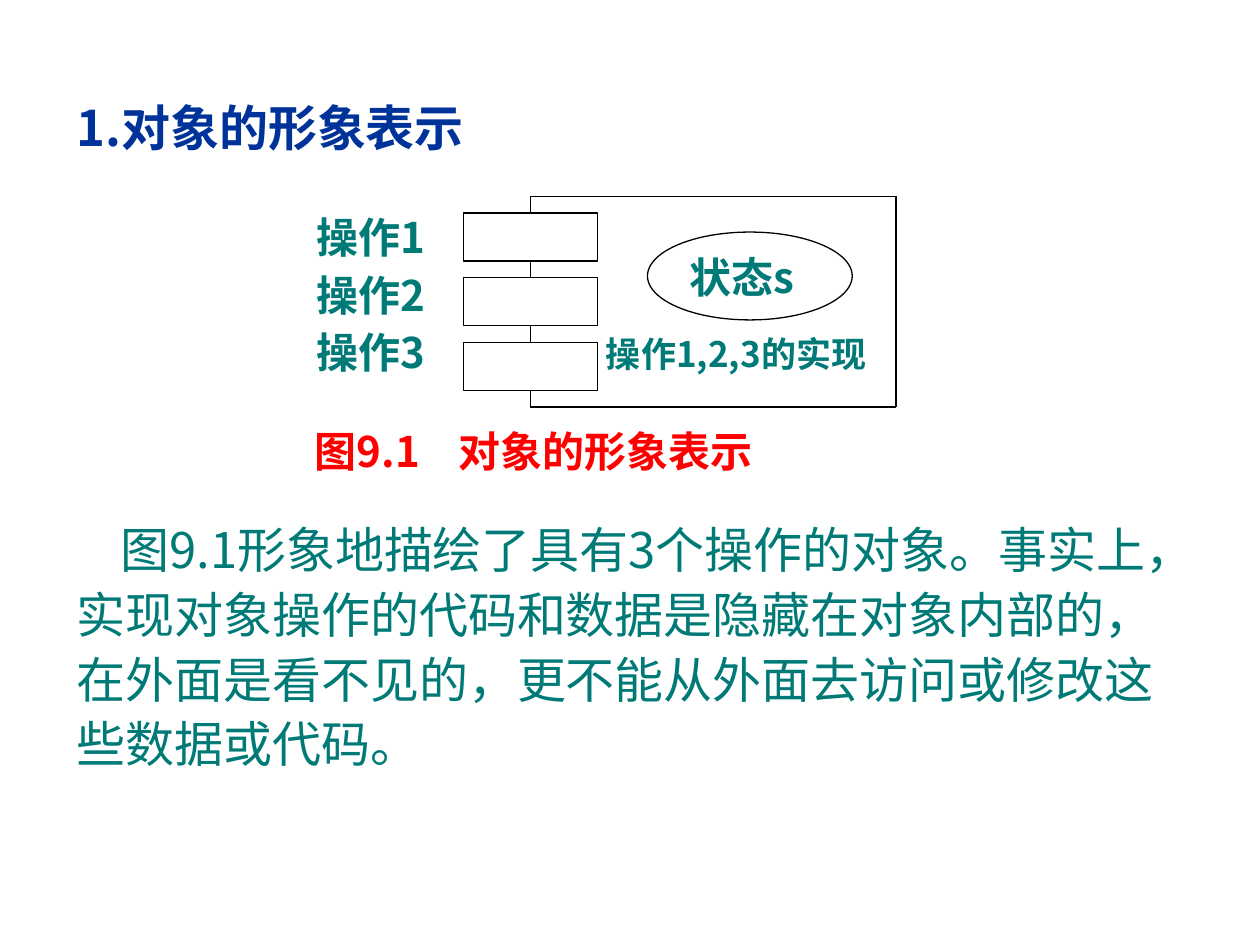
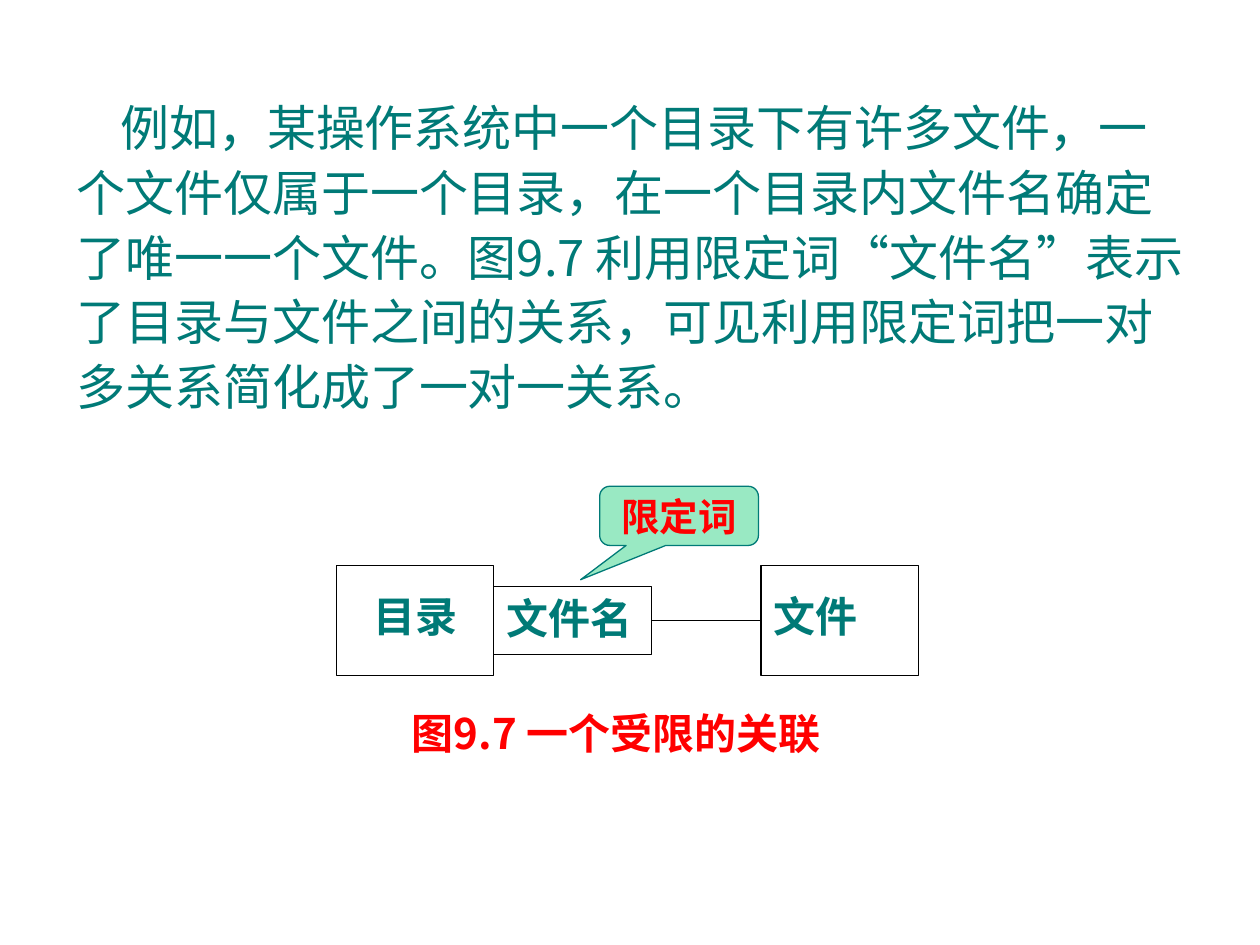
from lxml import etree
from pptx import Presentation, util as u
from pptx.dml.color import RGBColor
from pptx.enum import shapes, text
from pptx.oxml.ns import qn

COLORS = {"title": "003399", "body": "007A77", "caption": "FF0000",
          "line": "000000", "paper": "FFFFFF", "callout": "99E9C3"}
FONT = "Noto Sans CJK SC"
INSETS = ("margin_left", "margin_top", "margin_right", "margin_bottom")
PADDED = dict(zip(INSETS, map(u.Pt, (7.2, 3.6, 7.2, 3.6))))
TIGHT = dict.fromkeys(INSETS, 0)
LOWERED = PADDED | {"margin_top": u.Pt(14.4)}
MIDDLE = PADDED | {"vertical_anchor": text.MSO_ANCHOR.MIDDLE}
LABEL = {"size": u.Pt(24), "bold": True, "name": FONT}
PROSE = {"size": u.Pt(28), "bold": False, "name": FONT}
LEFT = {"alignment": text.PP_ALIGN.LEFT}
CENTER = {"alignment": text.PP_ALIGN.CENTER}
LOOSE = LEFT | {"line_spacing": 1.1}
MARGIN_X, TOP_Y = 36.7, 49


def rgb(key):
    """Return the named colour."""
    return RGBColor.from_string(COLORS[key])


def apply(target, values):
    """Set every format value on the target."""
    for attribute, value in values.items():
        setattr(target, attribute, value)


def write(shape, words, color="body", font=LABEL, frame=PADDED, layout=LEFT,
          indent=0, tab=None):
    """Write one formatted paragraph into the shape."""
    box = shape.text_frame
    apply(box, {"word_wrap": True, "vertical_anchor": text.MSO_ANCHOR.TOP} | frame)
    paragraph = box.paragraphs[0]
    apply(paragraph, layout)
    properties = paragraph._p.get_or_add_pPr()
    if indent:
        properties.set("indent", str(u.Pt(indent)))
    if tab:
        stops = etree.SubElement(properties, qn("a:tabLst"))
        etree.SubElement(stops, qn("a:tab"), pos=str(u.Pt(tab)), algn="l")
    run = paragraph.add_run()
    run.text = words
    apply(run.font, font)
    run.font.color.rgb = rgb(color)
    etree.SubElement(run._r.get_or_add_rPr(), qn("a:ea"), typeface=FONT)


def add_words(slide, place, words, **style):
    """Add a text box with one paragraph."""
    write(slide.shapes.add_textbox(*map(u.Pt, place)), words, **style)


def add_prose(slide, place, words):
    """Add a body paragraph with an indented first line."""
    add_words(slide, place, words, font=PROSE, layout=LOOSE, indent=25)


def add_figure(slide, kind, place, fill="paper", line="line"):
    """Add a filled and outlined preset shape."""
    figure = slide.shapes.add_shape(kind, *map(u.Pt, place))
    figure.shadow.inherit = False
    figure.fill.solid()
    figure.fill.fore_color.rgb = rgb(fill)
    figure.line.color.rgb = rgb(line)
    figure.line.width = u.Pt(0.75)
    return figure


def add_line(slide, start, end, begin=None, finish=None):
    """Add a straight line, joined to shapes given as (shape, side)."""
    line = slide.shapes.add_connector(
        shapes.MSO_CONNECTOR.STRAIGHT, *map(u.Pt, (*start, *end)))
    line.line.color.rgb = rgb("line")
    line.line.width = u.Pt(0.75)
    etree.SubElement(line._element.spPr, qn("a:effectLst"))
    if begin:
        line.begin_connect(*begin)
    if finish:
        line.end_connect(*finish)


def draw_object(slide):
    """Draw the object with its operations and hidden state."""
    kind = shapes.MSO_SHAPE
    slot_x, slot_y, slot_w, slot_h, slot_step = 265, 121.7, 76.3, 27.4, 37
    spine, top, right, bottom = slot_x + slot_w / 2, 112.3, 512, 232.6
    joint = (spine, top)
    previous = None
    for index in range(3):
        add_words(slide, (180.7, 121 + 32.8 * index, 80, 30),
                  f"操作{index + 1}", frame=TIGHT)
        slot_top = slot_y + slot_step * index
        operation = add_figure(slide, kind.RECTANGLE,
                               (slot_x, slot_top, slot_w, slot_h))
        add_line(slide, joint, (spine, slot_top), previous, (operation, 0))
        joint, previous = (spine, slot_top + slot_h), (operation, 2)
    add_line(slide, joint, (spine, bottom), previous)
    add_line(slide, (spine, top), (right, top))
    add_line(slide, (right, top), (right, bottom))
    add_line(slide, (spine, bottom), (right, bottom))
    state = add_figure(slide, kind.OVAL, (370, 132.6, 117, 50.2))
    write(state, "状态s")
    add_words(slide, (346.3, 190, 165.6, 33), "操作1,2,3的实现",
              font=LABEL | {"size": u.Pt(20)}, frame=TIGHT)
    add_words(slide, (172.8, 239.8, 291.6, 41.8), "图9.1\t对象的形象表示",
              color="caption", tab=82)


def draw_association(slide):
    """Draw the qualified association of directory and file."""
    kind = shapes.MSO_SHAPE
    left, top, width, height, file_x = 192.2, 323.3, 90, 62.6, 434.9
    qualifier_h = 38.9
    middle = top + height / 2
    directory = add_figure(slide, kind.RECTANGLE, (left, top, width, height))
    write(directory, "目录", frame=LOWERED, layout=CENTER)
    qualifier = add_figure(slide, kind.RECTANGLE, (
        left + width, middle - qualifier_h / 2, width, qualifier_h))
    write(qualifier, "文件名")
    file = add_figure(slide, kind.RECTANGLE, (file_x, top, width, height))
    write(file, "文件", frame=LOWERED)
    add_line(slide, (left + 2 * width, middle), (file_x, middle),
             (qualifier, 3), (file, 1))
    add_words(slide, (228.2, 401, 288, 38.9), "图9.7 一个受限的关联",
              color="caption")
    callout = add_figure(slide, kind.ROUNDED_RECTANGULAR_CALLOUT,
                         (342.7, 277.9, 90.7, 33.8), "callout", "body")
    for index, value in enumerate((-0.62, 1.08, 0.17)):
        callout.adjustments[index] = value
    write(callout, "限定词", color="caption", frame=MIDDLE, layout=CENTER,
          font=LABEL | {"size": u.Pt(22), "name": "Arial"})


def main():
    """Build and save both slides."""
    deck = Presentation()
    deck.slide_width, deck.slide_height = u.Pt(720), u.Pt(540)
    blank = deck.slide_layouts[6]

    representation = deck.slides.add_slide(blank)
    add_words(representation, (MARGIN_X, TOP_Y, 329, 44.6), "1.对象的形象表示",
              color="title", font=PROSE | {"bold": True}, layout=LOOSE)
    draw_object(representation)
    add_prose(representation, (MARGIN_X, 290.2, 646.6, 155.5),
              "图9.1形象地描绘了具有3个操作的对象。事实上，实现对象操作的代码和数据"
              "是隐藏在对象内部的，在外面是看不见的，更不能从外面去访问或修改这些数据或代码。")

    association = deck.slides.add_slide(blank)
    add_prose(association, (MARGIN_X, TOP_Y, 652.3, 192.2),
              "例如，某操作系统中一个目录下有许多文件，一个文件仅属于一个目录，"
              "在一个目录内文件名确定了唯一一个文件。图9.7 利用限定词“文件名”表示了"
              "目录与文件之间的关系，可见利用限定词把一对多关系简化成了一对一关系。")
    draw_association(association)
    deck.save("out.pptx")


if __name__ == "__main__":
    main()
